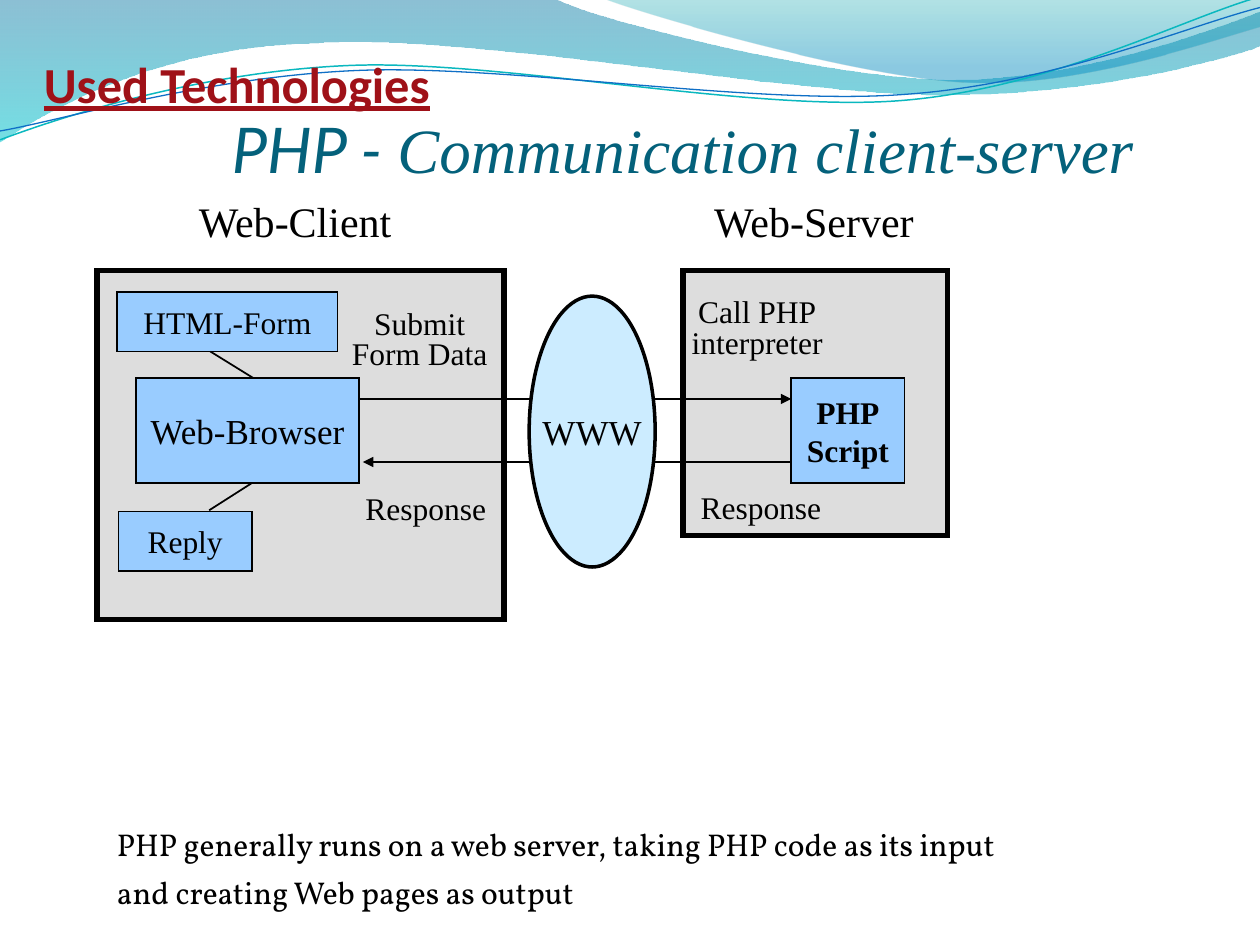
from math import cos, radians, sin

from lxml.etree import SubElement
from pptx import Presentation
from pptx.dml.color import RGBColor
from pptx.enum.shapes import MSO_CONNECTOR, MSO_SHAPE
from pptx.enum.text import MSO_ANCHOR, MSO_AUTO_SIZE, PP_ALIGN
from pptx.oxml.ns import qn
from pptx.util import Inches, Pt

COLORS = {
    "black": "000000", "panel": "DDDDDD", "box": "99CCFF", "cloud": "CCECFF",
    "title": "04617B", "heading": "9F1118",
    "wave_blue": "0074A1", "wave_cyan": "00C6CF",
    "crest_teal": "00A1A9", "crest_blue": "008BBF",
    "line_teal": "0AB8BF", "line_blue": "0F6FC6",
}
SERIF = "Times New Roman"
TILT = 2.7
ROW_TOP, ROW_HEIGHT = 3, 5 / 6
REQUEST_Y = ROW_TOP + ROW_HEIGHT / 5
RESPONSE_Y = ROW_TOP + ROW_HEIGHT * 4 / 5

# Each outline: start point, then segments of one point (line) or three (curve)
WAVE = [[(0, 0)], [(4.4, -0.01)],
        [(4.76, 0.17), (6.64, 0.63), (7.58, 0.63)],
        [(8.53, 0.63), (9.58, 0.26), (10, 0.09)], [(10.01, 0.36)],
        [(9.83, 0.44), (8.7, 0.76), (7.46, 0.75)],
        [(6.22, 0.75), (3.82, 0.28), (2.57, 0.34)],
        [(1.29, 0.36), (0.46, 0.83), (-0.01, 1.13)], [(0, 0)]]
CREST = [[(4.79, -0.01)],
         [(5.09, 0.11), (6.82, 0.62), (7.69, 0.65)],
         [(8.56, 0.69), (9.61, 0.32), (10, 0.21)], [(10, 0)], [(4.79, -0.01)]]
TEAL_LINE = [[(0, 1.11)],
             [(0.48, 0.93), (1.58, 0.57), (2.77, 0.52)],
             [(3.95, 0.47), (5.93, 0.89), (7.13, 0.8)],
             [(8.33, 0.71), (9.38, 0.15), (9.98, -0.02)]]
BLUE_LINE = [[(0, 1.04)],
             [(0.47, 0.96), (1.64, 0.61), (2.83, 0.56)],
             [(4.03, 0.51), (5.97, 0.84), (7.17, 0.75)],
             [(8.36, 0.67), (9.41, 0.21), (10, 0.06)]]


def color(name):
    return RGBColor.from_string(COLORS[name])


def add_outline(slide, outline, close):
    segments = [[(Inches(x), Inches(y)) for x, y in segment] for segment in outline]
    builder = slide.shapes.build_freeform(*segments[0][0])
    builder.add_line_segments([segment[-1] for segment in segments[1:]], close=close)
    shape = builder.convert_to_shape()
    shape.shadow.inherit = False
    # Turn the straight segments that have control points into curves
    lines = list(shape._element.spPr.iter(qn("a:lnTo")))
    for line, segment in zip(lines, segments[1:]):
        if len(segment) == 3:
            line.tag = qn("a:cubicBezTo")
            line.remove(line[0])
            for x, y in segment:
                SubElement(line, qn("a:pt"), x=str(x - shape.left), y=str(y - shape.top))
    return shape


def add_wave(slide, outline, stops):
    shape = add_outline(slide, outline, True)
    shape.line.fill.background()
    shape.fill.gradient()
    shape.fill.gradient_angle = 270
    for stop, (position, name, _) in zip(shape.fill.gradient_stops, stops):
        stop.position = position
        stop.color.rgb = color(name)
    gradient_colors = shape._element.spPr.iter(qn("a:srgbClr"))
    for element, (_, _, opacity) in zip(gradient_colors, stops):
        SubElement(element, qn("a:alpha"), val=str(opacity * 1000))


def level(point, center):
    x, y = point[0] - center[0], point[1] - center[1]
    angle = radians(TILT)
    return (center[0] + x * cos(angle) - y * sin(angle),
            center[1] + x * sin(angle) + y * cos(angle))


def add_wave_line(slide, outline, center, name, width):
    leveled = [[level(point, center) for point in segment] for segment in outline]
    shape = add_outline(slide, leveled, False)
    shape.rotation = -TILT
    shape.fill.background()
    shape.line.color.rgb = color(name)
    shape.line.width = Pt(width)


def add_run(paragraph, text, size, font=SERIF, name="black",
            bold=None, italic=None, underline=None):
    run = paragraph.add_run()
    run.text = text
    run.font.size = Pt(size)
    run.font.name = font
    run.font.color.rgb = color(name)
    run.font.bold, run.font.italic, run.font.underline = bold, italic, underline


def add_lines(frame, lines, size, align=PP_ALIGN.CENTER, spacing=None, **style):
    for index, line in enumerate(lines):
        paragraph = frame.add_paragraph() if index else frame.paragraphs[0]
        paragraph.alignment = align
        paragraph.line_spacing = spacing
        add_run(paragraph, line, size, **style)


def add_box(slide, place, fill, width, lines=(), size=18, kind=MSO_SHAPE.RECTANGLE, bold=None):
    shape = slide.shapes.add_shape(kind, *map(Inches, place))
    shape.shadow.inherit = False
    shape.fill.solid()
    shape.fill.fore_color.rgb = color(fill)
    shape.line.color.rgb = color("black")
    shape.line.width = Pt(width)
    SubElement(shape.line._get_or_add_ln(), qn("a:miter"), lim="800000")
    shape.text_frame.word_wrap = False
    shape.text_frame.vertical_anchor = MSO_ANCHOR.MIDDLE
    add_lines(shape.text_frame, lines, size, bold=bold)


def add_label(slide, place, lines, size=18, spacing=0.8, **layout):
    frame = slide.shapes.add_textbox(*map(Inches, place)).text_frame
    frame.word_wrap = False
    frame.auto_size = MSO_AUTO_SIZE.SHAPE_TO_FIT_TEXT
    add_lines(frame, lines, size, spacing=spacing, **layout)


def add_line(slide, start, end, arrow=False):
    line = slide.shapes.add_connector(MSO_CONNECTOR.STRAIGHT, *map(Inches, start + end))
    line.line.color.rgb = color("black")
    line.line.width = Pt(1)
    if arrow:
        SubElement(line.line._get_or_add_ln(), qn("a:tailEnd"), type="triangle")
    SubElement(line._element.spPr, qn("a:effectLst"))


def add_title(slide, place, align):
    frame = slide.shapes.add_textbox(*map(Inches, place)).text_frame
    frame.word_wrap = True
    frame.vertical_anchor = MSO_ANCHOR.BOTTOM
    frame.margin_bottom = Inches(0.1)
    frame.paragraphs[0].alignment = align
    return frame.paragraphs[0]


def add_summary(slide, place, lines):
    frame = slide.shapes.add_textbox(*map(Inches, place)).text_frame
    frame.word_wrap = True
    frame.auto_size = MSO_AUTO_SIZE.SHAPE_TO_FIT_TEXT
    add_lines(frame, lines, 18, align=PP_ALIGN.LEFT, font="Vollkorn")
    for paragraph in frame.paragraphs:
        properties = paragraph._p.get_or_add_pPr()
        properties.set("marL", str(Inches(0.5)))
        properties.set("indent", str(Inches(-0.5)))
    for paragraph in frame.paragraphs[1:]:
        paragraph.space_before = Pt(5.8)


def main():
    presentation = Presentation()
    presentation.slide_width, presentation.slide_height = Inches(10), Inches(7.5)
    slide = presentation.slides.add_slide(presentation.slide_layouts[6])

    # Wave decoration
    add_wave(slide, WAVE, [(0, "wave_blue", 45), (1, "wave_cyan", 55)])
    add_wave(slide, CREST, [(0, "crest_teal", 30), (0.8, "crest_blue", 45)])
    add_wave_line(slide, TEAL_LINE, (4.99, 0.58), "line_teal", 0.85)
    add_wave_line(slide, BLUE_LINE, (5, 0.59), "line_blue", 0.75)

    # Server and client panels
    add_box(slide, (5.42, 2.15, 2.1, 2.1), "panel", 3)
    add_box(slide, (0.77, 2.15, 3.23, 2.77), "panel", 3)
    for place, text in [((1.48, 1.5, 1.75, 0.5), "Web-Client"),
                        ((5.57, 1.5, 1.81, 0.5), "Web-Server")]:
        add_label(slide, place, [text], 24, spacing=None, align=PP_ALIGN.LEFT)

    # Script and form
    add_box(slide, (6.28, ROW_TOP, 0.9, ROW_HEIGHT), "box", 1, ["PHP", "Script"], bold=True)
    add_box(slide, (0.93, 2.32, 1.75, 0.47), "box", 1, ["HTML-Form"])

    # Request and response
    add_line(slide, (6.28, RESPONSE_Y), (2.88, RESPONSE_Y), arrow=True)
    add_label(slide, (2.69, 2.42, 1.28, 0.58), ["Submit", "Form Data"])
    add_line(slide, (2.85, REQUEST_Y), (6.28, REQUEST_Y), arrow=True)
    add_label(slide, (5.39, 2.33, 1.24, 0.58), ["Call PHP", "interpreter"])
    add_label(slide, (2.8, 3.89, 1.16, 0.34), ["Response"])
    add_label(slide, (5.46, 3.88, 1.16, 0.34), ["Response"])

    # Browser with its links, network and reply
    add_box(slide, (1.08, ROW_TOP, 1.77, ROW_HEIGHT), "box", 1, ["Web-Browser"], 20)
    add_line(slide, (2.01, ROW_TOP), (1.67, 2.79))
    add_line(slide, (1.66, 4.05), (2, ROW_TOP + ROW_HEIGHT))
    add_box(slide, (4.2, 2.35, 1, 2.15), "cloud", 2, ["WWW"], 20, MSO_SHAPE.OVAL)
    add_box(slide, (0.94, 4.06, 1.06, 0.47), "box", 1, ["Reply"])

    # Titles and summary
    title = add_title(slide, (1.17, 1.08, 8.5, 0.5), PP_ALIGN.CENTER)
    add_run(title, "PHP - ", 36, "Lato", "title", italic=True)
    add_run(title, "Communication client-server", 36, SERIF, "title", italic=True)
    heading = add_title(slide, (0.25, 0, 8.5, 1), PP_ALIGN.LEFT)
    add_run(heading, "Used Technologies", 28.8, "Calibri", "heading", bold=True, underline=True)
    add_summary(slide, (0.83, 6.5, 8.58, 0.79),
                ["PHP generally runs on a web server, taking PHP code as its input",
                 "and creating Web pages as output"])

    presentation.save("out.pptx")


if __name__ == "__main__":
    main()
